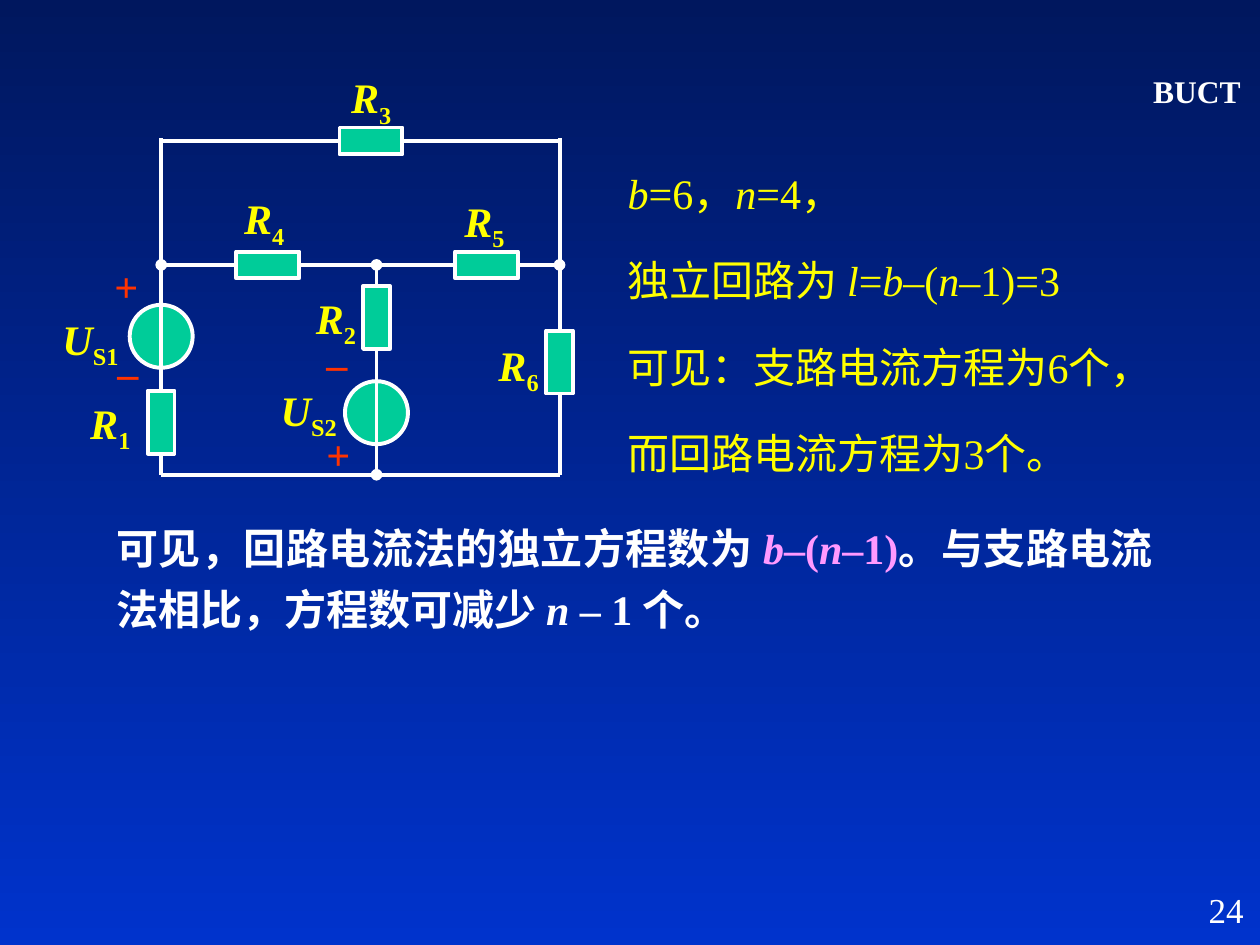
from lxml.etree import SubElement
from pptx import Presentation
from pptx.dml.color import RGBColor
from pptx.enum.shapes import MSO_CONNECTOR, MSO_SHAPE
from pptx.enum.text import MSO_ANCHOR, MSO_AUTO_SIZE, PP_ALIGN
from pptx.oxml.ns import qn
from pptx.util import Cm, Pt

COLORS = {
    "sky_top": "00175E", "sky_bottom": "0033CC", "part": "00CC99",
    "white": "FFFFFF", "yellow": "FFFF00", "pink": "FF99FF", "sign": "FF3300",
}
FONT = "Times New Roman"


def rgb(name):
    """Return the named palette colour."""
    return RGBColor.from_string(COLORS[name])


def add_run(p, text, color, size=24, bold=False, italic=False, sub=False):
    """Append one formatted run to a paragraph."""
    r = p.add_run()
    r.text = text
    r.font.name, r.font.size = FONT, Pt(size)
    r.font.bold, r.font.italic = bold, italic
    r.font.color.rgb = rgb(color)
    if sub:
        r._r.get_or_add_rPr().set("baseline", "-25000")


def add_text(s, x, y, w, h, wrap=True, anchor=MSO_ANCHOR.TOP,
             align=PP_ALIGN.LEFT, side=0.25):
    """Add a text box with the given side margins and return its first paragraph."""
    tf = s.shapes.add_textbox(Cm(x), Cm(y), Cm(w), Cm(h)).text_frame
    tf.word_wrap, tf.vertical_anchor = wrap, anchor
    tf.margin_left = tf.margin_right = Cm(side)
    p = tf.paragraphs[0]
    p.alignment = align
    return p


def add_part(s, kind, cx, cy, w, h):
    """Add a circuit part centred on a point."""
    sp = s.shapes.add_shape(kind, Cm(cx - w / 2), Cm(cy - h / 2), Cm(w), Cm(h))
    sp.shadow.inherit = False
    sp.fill.solid()
    sp.fill.fore_color.rgb = rgb("part")
    sp.line.color.rgb = rgb("white")
    sp.line.width = Pt(2.25)
    return sp


def add_wire(s, x1, y1, x2, y2, dots=()):
    """Add a wire, with node dots at the ends listed in dots."""
    wire = s.shapes.add_connector(MSO_CONNECTOR.STRAIGHT, Cm(x1), Cm(y1), Cm(x2), Cm(y2))
    wire.line.color.rgb = rgb("white")
    wire.line.width = Pt(2.25)
    ln = wire.line._get_or_add_ln()
    for end in dots:
        SubElement(ln, qn(f"a:{end}"), type="oval")
    SubElement(wire._element.spPr, qn("a:effectLst"))


def add_circuit(s, x, y):
    """Draw the circuit with its top left corner at the given point."""
    mid, right, node, bottom, start = 4.34, 8.03, 2.5, 6.73, -0.05
    sources = [("S1", 0, 3.94, -2.24, 3.35), ("S2", mid, 5.48, 2.16, 4.78)]
    signs = [("+", -0.7, 2.92), ("_", -0.67, 4.37), ("_", 3.54, 4.19), ("+", 3.57, 6.32)]
    wires = [
        (1.47, node, 0, node, ("tailEnd",)),
        (0, start, 0, bottom, ()),
        (2.74, node, right, node, ("tailEnd",)),
        (mid, node, mid, bottom, ("headEnd", "tailEnd")),
        (0, bottom, right, bottom, ()),
        (right, bottom, right, start, ()),
        (0, 0, right, 0, ()),
    ]
    resistors = [
        ("1", 0, 5.67, 0, -1.68, 5.04),
        ("2", mid, 3.56, 0, 2.87, 2.93),
        ("3", 4.23, 0, 270, 3.58, -1.52),
        ("4", 2.15, node, 270, 1.42, 0.92),
        ("5", 6.56, node, 270, 5.86, 0.97),
        ("6", right, 4.46, 0, 6.55, 3.87),
    ]
    labels = [("U", sub, lx, ly, 1.63) for sub, _, _, lx, ly in sources]
    labels += [("R", sub, lx, ly, 1.32) for sub, _, _, _, lx, ly in resistors]

    for _, cx, cy, _, _ in sources:
        add_part(s, MSO_SHAPE.OVAL, x + cx, y + cy, 1.27, 1.27)
    for x1, y1, x2, y2, dots in wires:
        add_wire(s, x + x1, y + y1, x + x2, y + y2, dots)
    for _, cx, cy, turn, _, _ in resistors:
        add_part(s, MSO_SHAPE.RECTANGLE, x + cx, y + cy, 0.54, 1.27).rotation = turn
    for text, cx, cy in signs:
        p = add_text(s, x + cx - 0.5, y + cy - 0.64, 1, 1.27, False,
                     MSO_ANCHOR.MIDDLE, PP_ALIGN.CENTER)
        add_run(p, text, "sign", bold=True)
    for letter, sub, lx, ly, w in labels:
        p = add_text(s, x + lx, y + ly, w, 1.42, wrap=False)
        add_run(p, letter, "yellow", bold=True, italic=True)
        add_run(p, sub, "yellow", bold=True, sub=True)


def add_equations(s, x, y, w, h):
    """Fill the body placeholder with the equation counts."""
    lines = [
        [("b", True), ("=6，", False), ("n", True), ("=4，", False)],
        [("独立回路为 ", False), ("l", True), ("=", False), ("b", True),
         ("–(", False), ("n", True), ("–1)=3", False)],
        [("可见：支路电流方程为6个，", False)],
        [("而回路电流方程为3个。", False)],
    ]
    body = s.placeholders[1]
    body.left, body.top, body.width, body.height = Cm(x), Cm(y), Cm(w), Cm(h)
    tf = body.text_frame
    tf.auto_size, tf.vertical_anchor = MSO_AUTO_SIZE.NONE, MSO_ANCHOR.TOP
    for i, line in enumerate(lines):
        p = tf.add_paragraph() if i else tf.paragraphs[0]
        p.alignment, p.line_spacing = PP_ALIGN.JUSTIFY, 1.2
        p.space_before = Pt(15 if i else 0)
        pPr = p._p.get_or_add_pPr()
        pPr.set("marL", "0")
        pPr.set("indent", "0")
        SubElement(pPr, qn("a:buNone"))
        for text, italic in line:
            add_run(p, text, "yellow", italic=italic)


def add_conclusion(s, x, y, w, h):
    """Add the closing statement."""
    p = add_text(s, x, y, w, h, align=PP_ALIGN.JUSTIFY)
    p.line_spacing = 1.2
    for text, color, italic in [
        ("可见，回路电流法的独立方程数为 ", "white", False),
        ("b", "pink", True), ("–(", "pink", False),
        ("n", "pink", True), ("–1)", "pink", False),
        ("。与支路电流法相比，方程数可减少 ", "white", False),
        ("n ", "white", True), ("– 1 个。", "white", False),
    ]:
        add_run(p, text, color, bold=True, italic=italic)


def add_initials(s, x, y, w, h):
    """Add the university's initials as plain text."""
    p = add_text(s, x, y, w, h, True, MSO_ANCHOR.MIDDLE, PP_ALIGN.CENTER, side=0)
    add_run(p, "BUCT", "white", 18, bold=True)


def add_page_number(s, x, y, w, h):
    """Add the page number."""
    add_run(add_text(s, x, y, w, h, align=PP_ALIGN.RIGHT), "24", "white", 20)


def paint_background(s):
    """Fill the background with a top to bottom gradient."""
    fill = s.background.fill
    fill.gradient()
    fill.gradient_angle = 270
    for stop, name in zip(fill.gradient_stops, ("sky_top", "sky_bottom")):
        stop.color.rgb = rgb(name)


def main():
    """Build and save the slide."""
    prs = Presentation()
    prs.slide_width, prs.slide_height = Cm(25.4), Cm(19.05)
    s = prs.slides.add_slide(prs.slide_layouts[1])
    title = s.shapes.title._element
    title.getparent().remove(title)
    paint_background(s)
    add_initials(s, 23.04, 1.45, 2.18, 0.76)
    add_equations(s, 12.4, 3.05, 11.84, 6.73)
    add_circuit(s, 3.25, 2.84)
    add_conclusion(s, 2.1, 10.21, 21.39, 2.69)
    add_page_number(s, 20.04, 17.78, 5.28, 1.27)
    prs.save("out.pptx")


if __name__ == "__main__":
    main()
